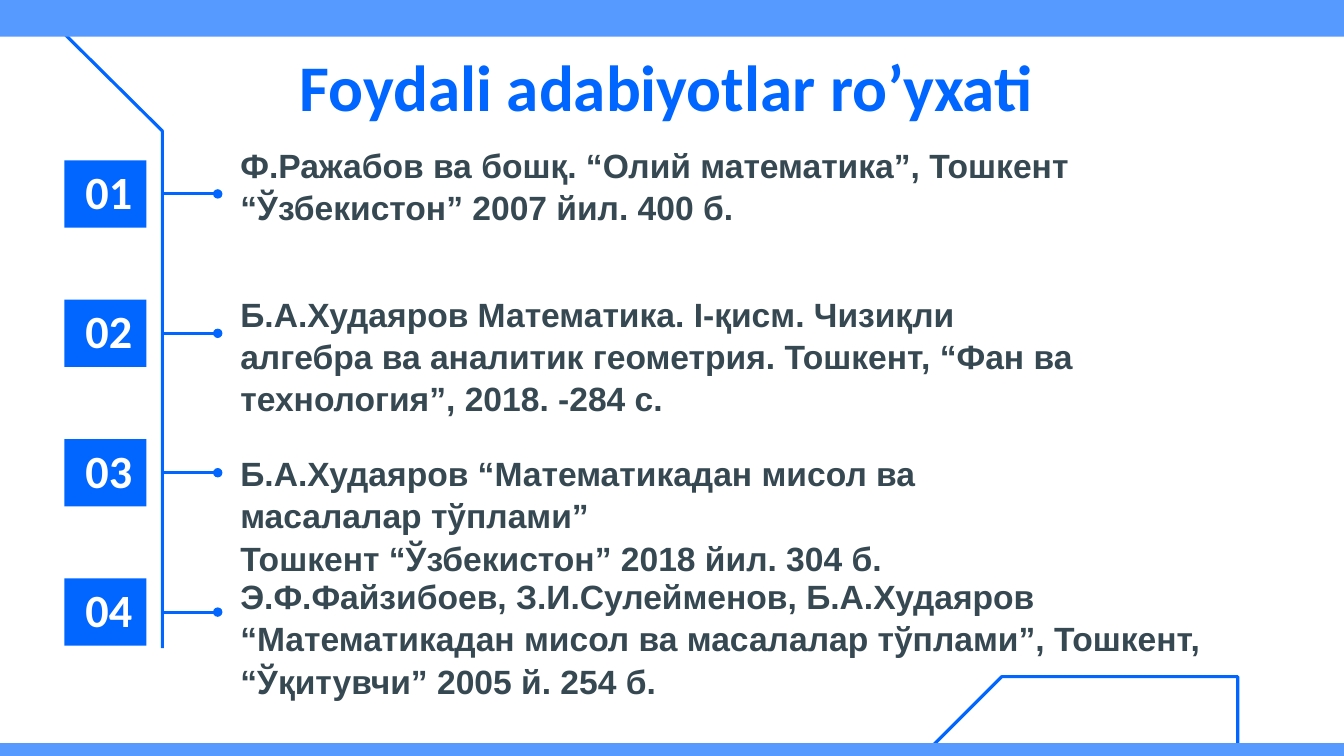
from dataclasses import dataclass
from typing import Any

from lxml.etree import SubElement
from pptx import Presentation
from pptx.dml.color import RGBColor
from pptx.enum.shapes import MSO_CONNECTOR, MSO_SHAPE
from pptx.enum.text import MSO_ANCHOR, MSO_AUTO_SIZE, PP_ALIGN
from pptx.oxml.ns import qn
from pptx.util import Emu, Inches, Pt

BLUE = RGBColor(0x00, 0x66, 0xFF)
SKY = RGBColor(0x57, 0x9A, 0xFF)
SLATE = RGBColor(0x36, 0x48, 0x51)
WHITE = RGBColor(0xFF, 0xFF, 0xFF)

WIDTH, HEIGHT = Inches(13.333), Inches(7.5)
COLUMN, ROW = WIDTH / 100, HEIGHT / 100
STROKE = Pt(2.25)

BADGE_TOP, BADGE_HEIGHT, BADGE_PITCH = 21.2, 8.9, 18.44
TRUNK, LINK_END = 12.08, 16.2


@dataclass(frozen=True)
class Area:
    """A rectangle in hundredths of the slide's width and height."""

    left: float
    top: float
    width: float
    height: float

    def box(self) -> tuple[Emu, Emu, Emu, Emu]:
        """Return the left, top, width and height as lengths."""
        return (x(self.left), y(self.top), x(self.width), y(self.height))


@dataclass(frozen=True)
class Entry:
    """One paragraph and the space before it in points."""

    text: str
    before: float = 0


@dataclass(frozen=True)
class Style:
    """Format values of a text's font, paragraphs and frame."""

    font: dict[str, Any]
    color: RGBColor
    paragraph: dict[str, Any]
    frame: dict[str, Any]


FRAME = {
    "margin_left": 0,
    "margin_right": 0,
    "margin_top": Pt(1),
    "margin_bottom": 0,
    "word_wrap": True,
    "auto_size": MSO_AUTO_SIZE.NONE,
    "vertical_anchor": MSO_ANCHOR.TOP,
}
HEADING = Style({"name": "Calibri", "size": Pt(46.5), "bold": True}, BLUE,
                {"alignment": PP_ALIGN.LEFT, "line_spacing": 1.0},
                FRAME | {"margin_left": Pt(1)})
NUMBER = Style({"name": "Calibri", "size": Pt(33), "bold": True}, WHITE,
               {"alignment": PP_ALIGN.LEFT, "line_spacing": 1.0},
               FRAME | {"margin_left": Pt(15), "margin_top": Pt(2)})
BOOK = Style({"name": "Arial", "size": Pt(24), "bold": True}, SLATE,
             {"alignment": PP_ALIGN.LEFT, "line_spacing": 1.05},
             FRAME | {"margin_left": Pt(1)})
NARROW_BOOK = Style(BOOK.font, SLATE, BOOK.paragraph,
                    BOOK.frame | {"margin_right": x_margin} if (x_margin := Inches(1.07)) else {})

TITLE = [Entry("Foydali adabiyotlar ro’yxati", 1.1)]
FIRST_BOOKS = [
    Entry("Ф.Ражабов ва бошқ. “Олий математика”, Тошкент “Ўзбекистон” 2007 йил. 400 б.", 1),
    Entry("Б.А.Худаяров Математика. I-қисм. Чизиқли алгебра ва аналитик геометрия. "
          "Тошкент, “Фан ва технология”, 2018. -284 с.", 46),
    Entry("Б.А.Худаяров “Математикадан мисол ва масалалар тўплами”", 23.1),
    Entry("Тошкент “Ўзбекистон” 2018 йил. 304 б."),
]
LAST_BOOK = [
    Entry("Э.Ф.Файзибоев, З.И.Сулейменов, Б.А.Худаяров “Математикадан мисол ва "
          "масалалар тўплами”, Тошкент, “Ўқитувчи” 2005 й. 254 б.", 1),
]


def x(share: float) -> Emu:
    """Turn a share of the width into a length."""
    return Emu(round(share * COLUMN))


def y(share: float) -> Emu:
    """Turn a share of the height into a length."""
    return Emu(round(share * ROW))


def apply(target: Any, values: dict[str, Any]) -> None:
    """Set every format value on the target."""
    for name, value in values.items():
        setattr(target, name, value)


def write(shape: Any, entries: list[Entry], style: Style) -> None:
    """Fill a shape with unbulleted paragraphs."""
    frame = shape.text_frame
    apply(frame, style.frame)
    for index, entry in enumerate(entries):
        paragraph = frame.add_paragraph() if index else frame.paragraphs[0]
        apply(paragraph, style.paragraph | {"space_before": Pt(entry.before), "space_after": Pt(0)})
        properties = paragraph._p.get_or_add_pPr()
        properties.set("marL", "0")
        properties.set("indent", "0")
        SubElement(properties, qn("a:buNone"))
        run = paragraph.add_run()
        run.text = entry.text
        apply(run.font, style.font)
        run.font.color.rgb = style.color


def fill_placeholder(holder: Any, area: Area, entries: list[Entry], style: Style) -> None:
    """Move a placeholder and write its text."""
    apply(holder, dict(zip(("left", "top", "width", "height"), area.box())))
    write(holder, entries, style)


def add_block(slide: Any, area: Area, color: RGBColor) -> Any:
    """Add a plain filled rectangle."""
    block = slide.shapes.add_shape(MSO_SHAPE.RECTANGLE, *area.box())
    block.shadow.inherit = False
    block.fill.solid()
    block.fill.fore_color.rgb = color
    block.line.fill.background()
    return block


def add_outline(slide: Any, points: list[tuple[float, float]]) -> None:
    """Add an open blue line through the points."""
    start, *rest = [(x(across), y(down)) for across, down in points]
    builder = slide.shapes.build_freeform(*start)
    builder.add_line_segments(rest, close=False)
    outline = builder.convert_to_shape()
    outline.shadow.inherit = False
    outline.fill.background()
    apply(outline.line, {"width": STROKE})
    outline.line.color.rgb = BLUE


def add_link(slide: Any, middle: float) -> None:
    """Add a line from the trunk that ends in a dot."""
    link = slide.shapes.add_connector(MSO_CONNECTOR.STRAIGHT, x(TRUNK), y(middle),
                                      x(LINK_END), y(middle))
    link.line.width = STROKE
    link.line.color.rgb = BLUE
    SubElement(link.line._get_or_add_ln(), qn("a:tailEnd"), type="oval")
    SubElement(link._element.spPr, qn("a:effectLst"))


def main() -> None:
    """Build the reading list slide."""
    deck = Presentation()
    apply(deck, {"slide_width": WIDTH, "slide_height": HEIGHT})
    slide = deck.slides.add_slide(deck.slide_layouts[3])
    heading, first_books, last_book = slide.placeholders

    add_outline(slide, [(92.1, 100), (92.1, 89.5), (74.55, 89.5), (68.63, 100)])
    add_outline(slide, [(2.25, 0), (TRUNK, 17.33), (TRUNK, 85.73)])
    for band in (Area(0, 0, 100, 4.85), Area(0, 98.3, 100, 1.7)):
        add_block(slide, band, SKY)

    for index in range(4):
        top = BADGE_TOP + index * BADGE_PITCH
        badge = add_block(slide, Area(4.8, top, 6.1, BADGE_HEIGHT), BLUE)
        write(badge, [Entry(f"{index + 1:02}", 2.2)], NUMBER)
        add_link(slide, top + BADGE_HEIGHT / 2)

    fill_placeholder(heading, Area(22.2, 6, 55.5, 10.8), TITLE, HEADING)
    fill_placeholder(first_books, Area(17.78, 18.67, 70.65, 50.93), FIRST_BOOKS, NARROW_BOOK)
    fill_placeholder(last_book, Area(17.78, 75.73, 75.83, 11.07), LAST_BOOK, BOOK)
    deck.save("out.pptx")


if __name__ == "__main__":
    main()
